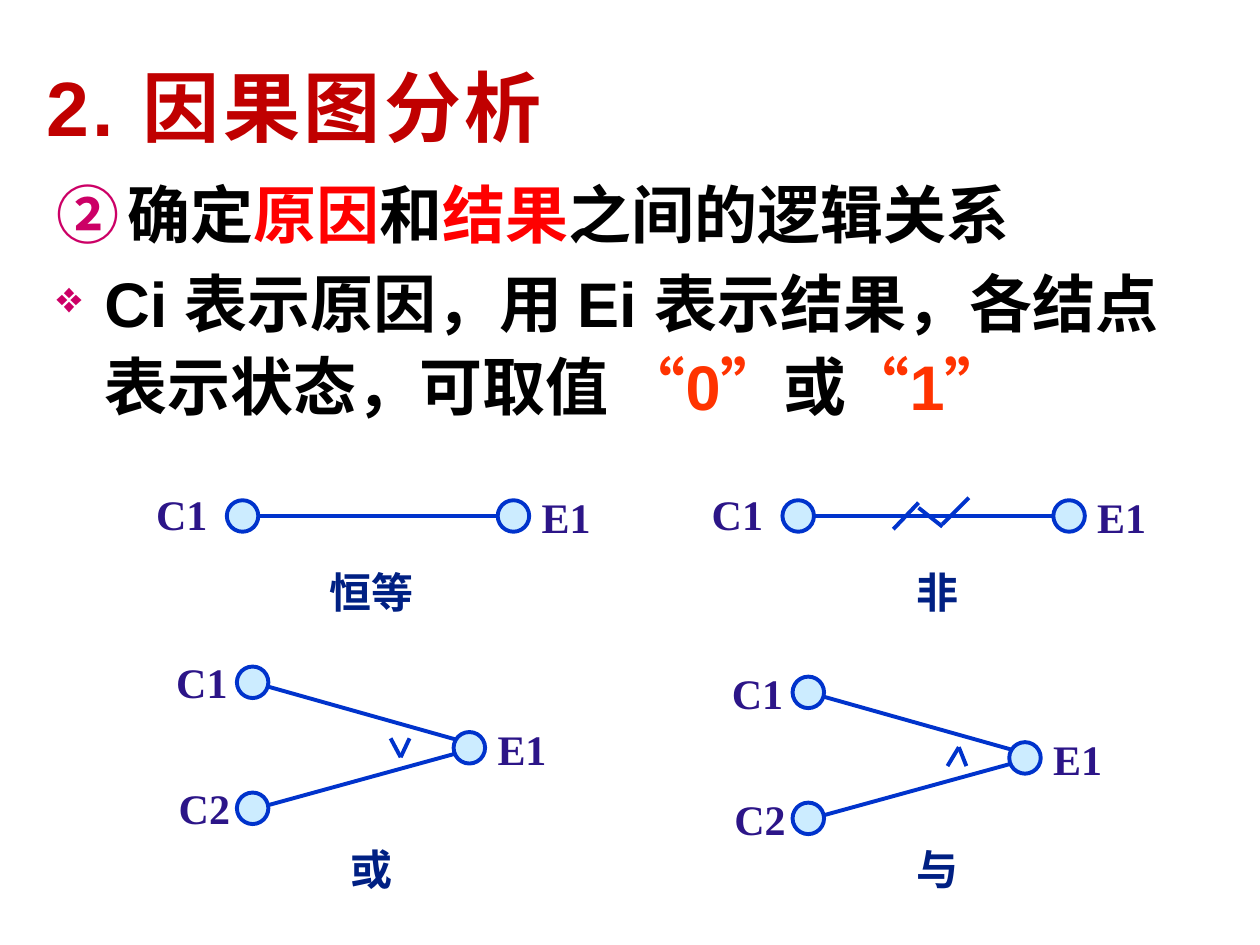
from lxml import etree
from pptx import Presentation, util as u
from pptx.dml.color import RGBColor
from pptx.enum import shapes, text
from pptx.oxml.ns import qn

THEME = {
    "title": {"size": 44, "name": "Arial", "color": "C00000"},
    "body": {"size": 36, "name": "Arial", "color": "000000"},
    "caption": {"size": 24, "name": "Arial", "color": "002083"},
    "node": {"size": 24, "name": "Times New Roman", "color": "2C1588"},
    "red": "FF0000", "orange": "FF3300", "bullet": "CC0066",
    "disc": "CCECFF", "stroke": "0033CC", "stroke_width": 2.25,
}

deck = Presentation()
deck.slide_width, deck.slide_height = u.Inches(10), u.Inches(7.5)
COL, ROW = deck.slide_width / 100, deck.slide_height / 75
page = deck.slides.add_slide(deck.slide_layouts[6])


def write(parent, area, paragraphs, style, **frame_format):
    """Add a text box at (column, row, columns, rows); a paragraph is a list of (words, colour or None)."""
    x, y, width, height = area
    box = parent.add_textbox(*map(round, (x * COL, y * ROW, width * COL, height * ROW)))
    frame = box.text_frame
    for key, value in {"word_wrap": False, **frame_format}.items():
        setattr(frame, key, value)
    look = THEME[style]
    for number, spans in enumerate(paragraphs):
        para = frame.add_paragraph() if number else frame.paragraphs[0]
        for words, color in spans:
            span = para.add_run()
            span.text = words
            for key, value in {"size": u.Pt(look["size"]), "name": look["name"], "bold": True}.items():
                setattr(span.font, key, value)
            span.font.color.rgb = RGBColor.from_string(color or look["color"])
    return frame


def draw_line(parent, origin, start, end):
    """Draw a line between two (column, row) points counted from origin."""
    ends = [round((base + step) * cell) for point in (start, end)
            for base, step, cell in zip(origin, point, (COL, ROW))]
    line = parent.add_connector(shapes.MSO_CONNECTOR.STRAIGHT, *ends)
    line.line.color.rgb = RGBColor.from_string(THEME["stroke"])
    line.line.width = u.Pt(THEME["stroke_width"])
    etree.SubElement(line._element.spPr, qn("a:effectLst"))


# Heading and explanation
heading = write(page.shapes, (2.7, 2.1, 93.4, 12.5), [[("2. 因果图分析", None)]], "title",
                word_wrap=True, vertical_anchor=text.MSO_ANCHOR.MIDDLE)
heading.paragraphs[0].runs[0].font._element.set("spc", "200")

body = write(page.shapes, (3.5, 13.1, 92.9, 57.9), [
    [("确定", None), ("原因", THEME["red"]), ("和", None), ("结果", THEME["red"]),
     ("之间的逻辑关系", None)],
    [("Ci 表示原因，用 Ei 表示结果，各结点表示状态，可取值 ", None),
     ("“0”", THEME["orange"]), ("或", None), ("“1”", THEME["orange"])],
], "body", word_wrap=True)
bullets = [
    (1.05, 5.6, None, ("a:buAutoNum", {"type": "circleNumDbPlain", "startAt": "2"})),
    (1.1, 3.8, "70000", ("a:buChar", {"char": "❖"})),
]
for para, (spacing, indent, scale, (tag, marker)) in zip(body.paragraphs, bullets):
    gap = u.Pt(THEME["body"]["size"] * 0.05)
    for key, value in {"line_spacing": spacing, "space_before": gap, "space_after": gap}.items():
        setattr(para, key, value)
    props = para._p.get_or_add_pPr()
    props.set("marL", str(round(indent * COL)))
    props.set("indent", str(round(-indent * COL)))
    color = etree.SubElement(props, qn("a:buClr"))
    etree.SubElement(color, qn("a:srgbClr"), val=THEME["bullet"])
    if scale:
        etree.SubElement(props, qn("a:buSzPct"), val=scale)
    etree.SubElement(props, qn(tag), marker)

# Cause-effect diagrams: node name, node corner, label corner, all counted from the C1 node
DISC = 2.5
LABEL_SIZE = (6.2, 5)
PAIR = {
    "nodes": [("C1", (0, 0), (-6.6, -1.4)), ("E1", (21.5, 0), (24, -1.2))],
    "links": [((DISC, 1.27), (21.5, 1.27))],
}
FORK = {
    "nodes": [("C1", (0, 0), (-5.8, -1.25)), ("C2", (0, 10), (-5.6, 8.75)),
              ("E1", (17.2, 5.2), (19.7, 4))],
    "links": [((DISC, 1.6), (17.4, 5.8)), ((DISC, 11), (17.4, 6.9))],
}
NOT_MARK = [((8.8, 2.3), (10.8, 0.2)), ((10.8, 0.6), (12.7, 2.1)), ((12.7, 1.9), (14.8, -0.2))]
OR_MARK = [((12.2, 5.7), (13, 7.2)), ((13.7, 5.7), (13, 7.2))]
AND_MARK = [((12.3, 7.1), (13.2, 5.6)), ((13.8, 7.1), (13.2, 5.6))]
diagrams = [
    ("恒等", PAIR, (18, 39.7), [], (22.4, 44.6)),
    ("非", PAIR, (62.1, 39.7), NOT_MARK, (67.3, 44.6)),
    ("或", FORK, (18.8, 52.9), OR_MARK, (22.4, 66.6)),
    ("与", FORK, (62.9, 53.7), AND_MARK, (67.3, 66.6)),
]
for caption, layout, origin, mark, caption_corner in diagrams:
    group = page.shapes.add_group_shape().shapes
    left, top = origin
    for start, end in layout["links"] + mark:
        draw_line(group, origin, start, end)
    for name, (x, y), (label_x, label_y) in layout["nodes"]:
        disc = group.add_shape(shapes.MSO_SHAPE.OVAL, round((left + x) * COL),
                               round((top + y) * ROW), round(DISC * COL), round(DISC * ROW))
        disc.shadow.inherit = False
        disc.fill.solid()
        disc.fill.fore_color.rgb = RGBColor.from_string(THEME["disc"])
        disc.line.color.rgb = RGBColor.from_string(THEME["stroke"])
        disc.line.width = u.Pt(THEME["stroke_width"])
        write(group, (left + label_x, top + label_y, *LABEL_SIZE), [[(name, None)]], "node",
              auto_size=text.MSO_AUTO_SIZE.SHAPE_TO_FIT_TEXT)
    title = write(page.shapes, (*caption_corner, 14.2, 4.7), [[(caption, None)]], "caption",
                  vertical_anchor=text.MSO_ANCHOR.MIDDLE)
    title.paragraphs[0].alignment = text.PP_ALIGN.CENTER

deck.save("out.pptx")
